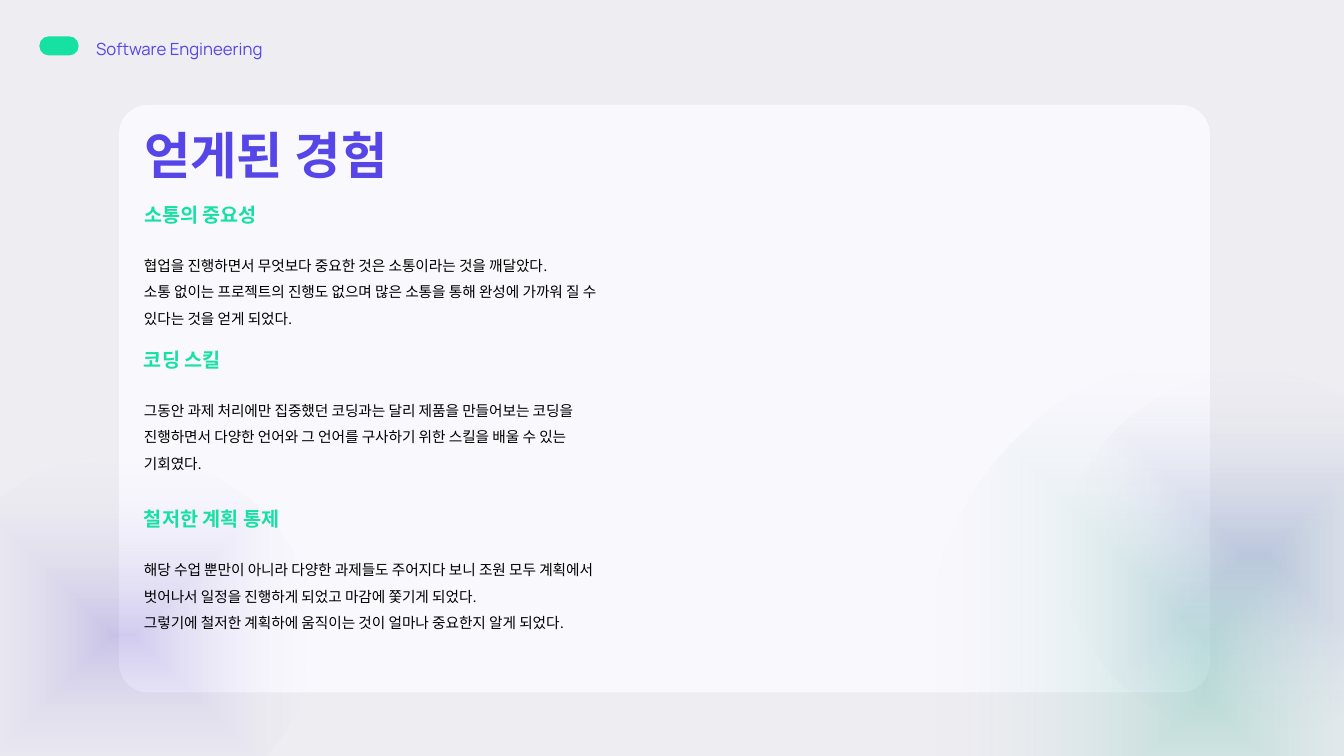
import pptx
import pptx.dml.color
import pptx.enum.shapes
import pptx.enum.text
import pptx.oxml
import pptx.oxml.ns
import pptx.util
from pptx.util import Inches

COLORS = {
    "background": "EEEDF2",
    "card": "F9F8FD",
    "violet": "5646E8",
    "green": "15E1A2",
    "text": "000000",
    "violet_glow": "422BBD",
    "teal_glow": "7AC6B6",
}
SHAPES = pptx.enum.shapes.MSO_SHAPE
AUTO_SIZE = pptx.enum.text.MSO_AUTO_SIZE
ALIGN = pptx.enum.text.PP_ALIGN

TEXT_LEFT = 1.33
BODY_OFFSET = 0.45
SECTIONS = [
    (1.96, 1.42, "소통의 중요성", [
        "협업을 진행하면서 무엇보다 중요한 것은 소통이라는 것을 깨달았다.",
        "소통 없이는 프로젝트의 진행도 없으며 많은 소통을 통해 완성에 가까워 질 수 "
        "있다는 것을 얻게 되었다.",
    ]),
    (3.4, 1.03, "코딩 스킬", [
        "그동안 과제 처리에만 집중했던 코딩과는 달리 제품을 만들어보는 코딩을 "
        "진행하면서 다양한 언어와 그 언어를 구사하기 위한 스킬을 배울 수 있는 기회였다.",
    ]),
    (4.98, 1.66, "철저한 계획 통제", [
        "해당 수업 뿐만이 아니라 다양한 과제들도 주어지다 보니 조원 모두 계획에서 "
        "벗어나서 일정을 진행하게 되었고 마감에 쫓기게 되었다.",
        "그렇기에 철저한 계획하에 움직이는 것이 얼마나 중요한지 알게 되었다.",
    ]),
]


def rgb(name):
    return pptx.dml.color.RGBColor.from_string(COLORS[name])


def add_plain_shape(page, kind, area, color):
    shape = page.shapes.add_shape(kind, *map(Inches, area))
    shape.shadow.inherit = False
    shape.fill.solid()
    shape.fill.fore_color.rgb = rgb(color)
    shape.line.fill.background()
    return shape


def add_glow(page, area, color, opacity):
    """Add an ellipse that fades from its centre to full transparency."""
    glow = add_plain_shape(page, SHAPES.OVAL, area, color)
    gradient = pptx.oxml.parse_xml(
        f'<a:gradFill {pptx.oxml.ns.nsdecls("a")} rotWithShape="1"><a:gsLst>'
        f'<a:gs pos="0"><a:srgbClr val="{COLORS[color]}">'
        f'<a:alpha val="{opacity * 1000}"/></a:srgbClr></a:gs>'
        f'<a:gs pos="100000"><a:srgbClr val="{COLORS["background"]}">'
        '<a:alpha val="0"/></a:srgbClr></a:gs></a:gsLst>'
        '<a:path path="shape">'
        '<a:fillToRect l="50000" t="50000" r="50000" b="50000"/>'
        '</a:path></a:gradFill>'
    )
    properties = glow.element.spPr
    solid = properties.find(pptx.oxml.ns.qn("a:solidFill"))
    properties.replace(solid, gradient)


def write_paragraphs(frame, lines, font, size, color, bold=False,
                     align=ALIGN.LEFT, spacing=None):
    for index, line in enumerate(lines):
        para = frame.add_paragraph() if index else frame.paragraphs[0]
        para.text = line
        para.alignment = align
        para.line_spacing = spacing
        para.font.name = font
        para.font.size = pptx.util.Pt(size)
        para.font.bold = bold
        para.font.color.rgb = rgb(color)


def add_text(page, area, lines, *style, wrap=False, **options):
    box = page.shapes.add_textbox(*map(Inches, area))
    box.text_frame.word_wrap = wrap
    box.text_frame.auto_size = AUTO_SIZE.SHAPE_TO_FIT_TEXT
    write_paragraphs(box.text_frame, lines, *style, **options)


def place_title(page, text):
    """Format the title placeholder and bring it in front of the card."""
    title = page.shapes.title
    title.left, title.top = Inches(TEXT_LEFT), Inches(1.18)
    title.width, title.height = Inches(5.2), Inches(0.71)
    frame = title.text_frame
    frame.word_wrap = True
    frame.auto_size = AUTO_SIZE.SHAPE_TO_FIT_TEXT
    frame.vertical_anchor = pptx.enum.text.MSO_ANCHOR.TOP
    write_paragraphs(frame, [text], "Manrope", 36, "violet", bold=True)
    page.shapes.element.append(title.element)


def add_section(page, top, width, heading, lines):
    add_text(page, (TEXT_LEFT, top, width, 0.34), [heading],
             "Manrope", 14, "green", bold=True)
    add_text(page, (TEXT_LEFT, top + BODY_OFFSET, 4.94, 0.87), lines,
             "Calibri", 10.5, "text", wrap=True, spacing=1.5)


def main():
    deck = pptx.Presentation()
    deck.slide_width, deck.slide_height = Inches(13.33), Inches(7.5)
    page = deck.slides.add_slide(deck.slide_layouts.get_by_name("Title Only"))
    page.background.fill.solid()
    page.background.fill.fore_color.rgb = rgb("background")

    card = add_plain_shape(page, SHAPES.ROUNDED_RECTANGLE,
                           (1.18, 1.04, 10.82, 5.83), "card")
    card.adjustments[0] = 0.05
    add_glow(page, (-0.67, 4.51, 3.79, 3.58), "violet_glow", 21)
    add_glow(page, (10.55, 3.71, 3.79, 3.58), "violet_glow", 21)
    add_glow(page, (9.16, 3.56, 5.56, 6.13), "teal_glow", 42)

    badge = add_plain_shape(page, SHAPES.ROUNDED_RECTANGLE,
                            (0.39, 0.36, 0.39, 0.19), "green")
    badge.adjustments[0] = 0.5
    add_text(page, (0.78, 0.34, 2, 0.3), ["Software Engineering"],
             "Manrope", 12, "violet", align=ALIGN.CENTER)

    place_title(page, "얻게된 경험")
    for section in SECTIONS:
        add_section(page, *section)
    deck.save("out.pptx")


if __name__ == "__main__":
    main()
